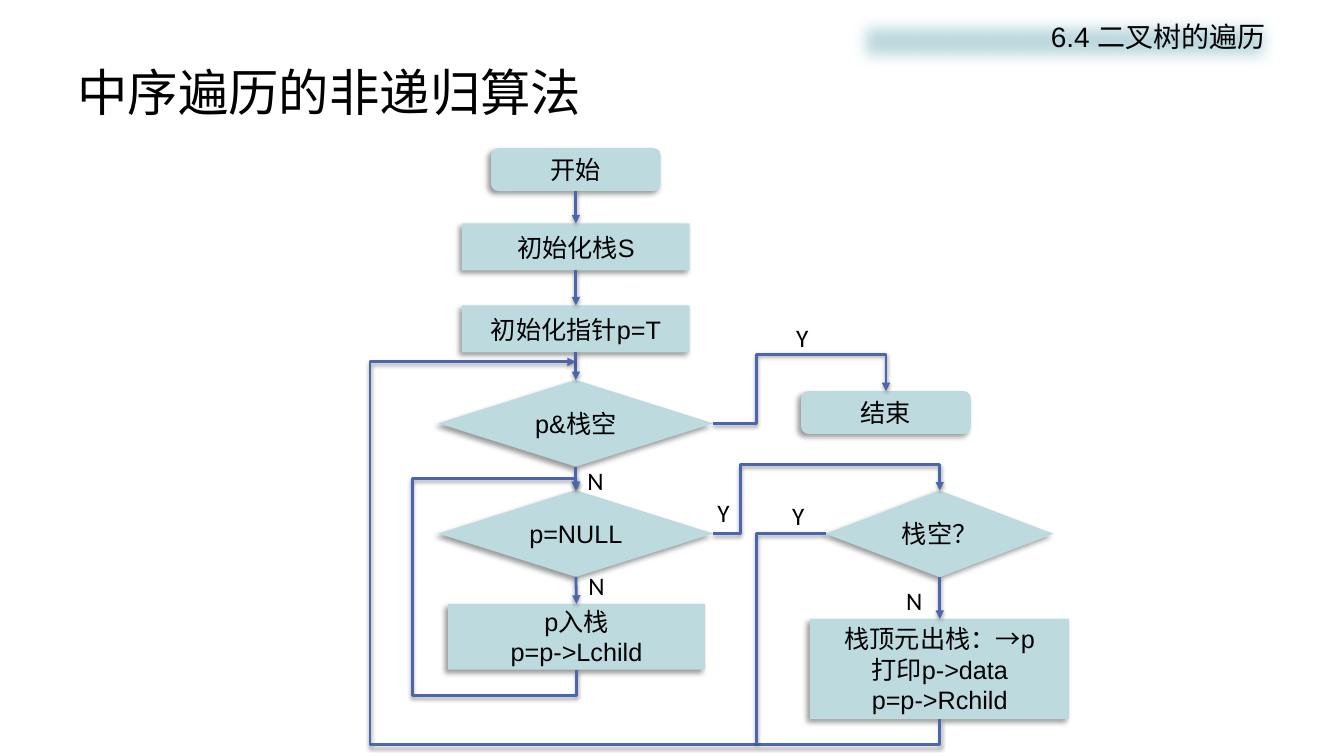
"""Build the flowchart slide for non-recursive in-order traversal."""
from dataclasses import dataclass

from lxml.etree import SubElement
from pptx import Presentation
from pptx.dml.color import RGBColor
from pptx.enum.shapes import MSO_CONNECTOR, MSO_SHAPE
from pptx.enum.text import MSO_ANCHOR, MSO_AUTO_SIZE, PP_ALIGN
from pptx.oxml.ns import qn
from pptx.util import Emu, Inches, Pt

COLORS = {"text": "000000", "node": "BDDADF", "arrow": "4A66AC", "shadow": "000000"}
COLUMNS, ROWS = 80, 45
CELL = Inches(1) / 6
TRUNK, BRANCH = 34.28, 55.94
TOP, LEFT, BOTTOM, RIGHT = range(4)
CJK_FONT = "Noto Sans CJK SC"


@dataclass(frozen=True)
class Node:
    text: str
    kind: MSO_SHAPE
    center: float
    top: float
    width: float
    height: float
    inset: float = 0.3

    def side(self, site: int) -> tuple[float, float]:
        middle = self.top + self.height / 2
        return {
            TOP: (self.center, self.top),
            LEFT: (self.center - self.width / 2, middle),
            BOTTOM: (self.center, self.top + self.height),
            RIGHT: (self.center + self.width / 2, middle),
        }[site]


@dataclass(frozen=True)
class Route:
    source: str
    site: int
    lanes: tuple[float, ...]
    target: str = ""
    end: tuple[float, float] = (0, 0)
    arrow: bool = True


@dataclass(frozen=True)
class Answer:
    text: str
    left: float
    top: float


TERMINAL, STEP, DECISION = (
    MSO_SHAPE.ROUNDED_RECTANGLE, MSO_SHAPE.RECTANGLE, MSO_SHAPE.FLOWCHART_DECISION)

NODES = {
    "start": Node("开始", TERMINAL, TRUNK, 8.82, 10.1, 2.55),
    "init_stack": Node("初始化栈S", STEP, TRUNK, 13.3, 13.56, 2.8),
    "init_pointer": Node("初始化指针p=T", STEP, TRUNK, 18.18, 13.56, 2.8),
    "all_empty": Node("p&栈空", DECISION, TRUNK, 22.62, 16.38, 5.16),
    "is_null": Node("p=NULL", DECISION, TRUNK, 29.18, 16.38, 5.16),
    "push": Node("p入栈\np=p->Lchild", STEP, TRUNK + 0.04, 35.94, 15.3, 3.92, 0),
    "finish": Node("结束", TERMINAL, 52.74, 23.28, 10.1, 2.55),
    "stack_empty": Node("栈空？", DECISION, BRANCH, 29.2, 13.56, 5.16),
    "pop": Node("栈顶元出栈：→p\n打印p->data\np=p->Rchild", STEP, BRANCH, 36.84, 15.42, 5.96),
}

CHAINS = (
    ("start", "init_stack", "init_pointer", "all_empty", "is_null", "push"),
    ("stack_empty", "pop"),
)

ROUTES = (
    Route("is_null", RIGHT, (44.1, 27.66), target="stack_empty"),
    Route("all_empty", RIGHT, (45.06, 21.1), target="finish"),
    Route("push", BOTTOM, (41.4, 24.6, 28.5), target="is_null"),
    Route("pop", BOTTOM, (44.34, 22.02), end=(TRUNK, 21.54)),
    Route("stack_empty", LEFT, (), end=(45.06, 44.28), arrow=False),
)

ANSWERS = (
    Answer("N", 53.34, 34.56), Answer("N", 34.44, 33.66), Answer("N", 34.38, 27.42),
    Answer("Y", 42.12, 29.28), Answer("Y", 46.8, 18.9), Answer("Y", 46.56, 29.46),
)


def cells(*counts: float) -> list[Emu]:
    return [Emu(round(count * CELL)) for count in counts]


def color(name: str) -> RGBColor:
    return RGBColor.from_string(COLORS[name])


def write(frame, text: str, *, size: float = 18, font: str = "Arial",
          align=PP_ALIGN.LEFT, anchor=MSO_ANCHOR.TOP, bullet: bool = True) -> None:
    frame.word_wrap = True
    frame.auto_size = MSO_AUTO_SIZE.NONE
    frame.vertical_anchor = anchor
    frame.text = text
    for paragraph in frame.paragraphs:
        paragraph.alignment = align
        paragraph.space_before = Pt(0)
        if not bullet:
            properties = paragraph._p.get_or_add_pPr()
            properties.set("marL", "0")
            properties.set("indent", "0")
            SubElement(properties, qn("a:buNone"))
        for run in paragraph.runs:
            run.font.size = Pt(size)
            run.font.name = font
            run.font.color.rgb = color("text")
            SubElement(run._r.get_or_add_rPr(), qn("a:ea"), typeface=CJK_FONT)


def cast_shadow(effects, alpha: int, blur: float, distance: float, angle: int) -> None:
    shadow = SubElement(effects, qn("a:outerShdw"), blurRad=str(Pt(blur)),
                        dist=str(Pt(distance)), dir=str(angle * 60000), rotWithShape="0")
    tint = SubElement(shadow, qn("a:srgbClr"), val=COLORS["shadow"])
    SubElement(tint, qn("a:alpha"), val=str(alpha * 1000))


def fill_plain(shape):
    shape.fill.solid()
    shape.fill.fore_color.rgb = color("node")
    shape.line.fill.background()
    shape.shadow.inherit = False
    return shape._element.spPr.find(qn("a:effectLst"))


def place(shape, left: float, top: float, width: float, height: float) -> None:
    shape.left, shape.top, shape.width, shape.height = cells(left, top, width, height)


def draw_node(slide, node: Node):
    box = slide.shapes.add_shape(node.kind, *cells(
        node.center - node.width / 2, node.top, node.width, node.height))
    cast_shadow(fill_plain(box), 40, 4, 3, 135)
    box.text_frame.margin_top, box.text_frame.margin_bottom = cells(node.inset, node.inset)
    write(box.text_frame, node.text, align=PP_ALIGN.CENTER, anchor=MSO_ANCHOR.MIDDLE)
    return box


def style_arrow(link, arrow: bool = True) -> None:
    link.line.color.rgb = color("arrow")
    link.line.width = Pt(2)
    if arrow:
        SubElement(link.line._get_or_add_ln(), qn("a:tailEnd"), type="triangle")
    cast_shadow(SubElement(link._element.spPr, qn("a:effectLst")), 38, 3.1, 1.6, 90)


def draw_step(slide, upper, lower) -> None:
    link = slide.shapes.add_connector(MSO_CONNECTOR.STRAIGHT, 0, 0, 0, 0)
    link.begin_connect(upper, BOTTOM)
    link.end_connect(lower, TOP)
    style_arrow(link)


def draw_route(slide, route: Route, boxes: dict) -> None:
    begin = NODES[route.source].side(route.site)
    end = NODES[route.target].side(TOP) if route.target else route.end
    turned = route.site == BOTTOM
    link = slide.shapes.add_connector(MSO_CONNECTOR.ELBOW, *cells(*begin, *end))
    link.begin_connect(boxes[route.source], route.site)
    if route.target:
        link.end_connect(boxes[route.target], TOP)
    if turned:
        x, y = ((a + b) / 2 for a, b in zip(begin, end))
        across, down = ((a - b) / 2 for a, b in zip(begin, end))
        link.begin_x, link.begin_y = cells(x + down, y - across)
        link.end_x, link.end_y = cells(x - down, y + across)
        link._element.spPr.find(qn("a:xfrm")).set("rot", str(90 * 60000))
    geometry = link._element.spPr.find(qn("a:prstGeom"))
    geometry.set("prst", f"bentConnector{len(route.lanes) + 2}")
    guides = geometry.find(qn("a:avLst"))
    for index, lane in enumerate(route.lanes):
        axis = (index + turned) % 2
        share = (lane - begin[axis]) / (end[axis] - begin[axis])
        SubElement(guides, qn("a:gd"), name=f"adj{index + 1}",
                   fmla=f"val {round(share * 100000)}")
    style_arrow(link, route.arrow)


def main() -> None:
    deck = Presentation()
    deck.slide_width, deck.slide_height = cells(COLUMNS, ROWS)
    slide = deck.slides.add_slide(deck.slide_layouts[1])
    title, section = slide.placeholders
    place(title, 4, 3.2, 72, 4.5)
    write(title.text_frame, "中序遍历的非递归算法", size=36, font=CJK_FONT,
          anchor=MSO_ANCHOR.MIDDLE)
    place(section, 50.76, 0.84, 25.2, 3.24)
    SubElement(fill_plain(section), qn("a:softEdge"), rad=str(Pt(10)))
    write(section.text_frame, "6.4 二叉树的遍历", size=20, align=PP_ALIGN.RIGHT, bullet=False)
    boxes = {name: draw_node(slide, node) for name, node in NODES.items()}
    for chain in CHAINS:
        for upper, lower in zip(chain, chain[1:]):
            draw_step(slide, boxes[upper], boxes[lower])
    for route in ROUTES:
        draw_route(slide, route, boxes)
    for answer in ANSWERS:
        label = slide.shapes.add_textbox(*cells(answer.left, answer.top, 2.16, 2.4))
        write(label.text_frame, answer.text, font="Calibri")
    deck.save("out.pptx")


if __name__ == "__main__":
    main()
